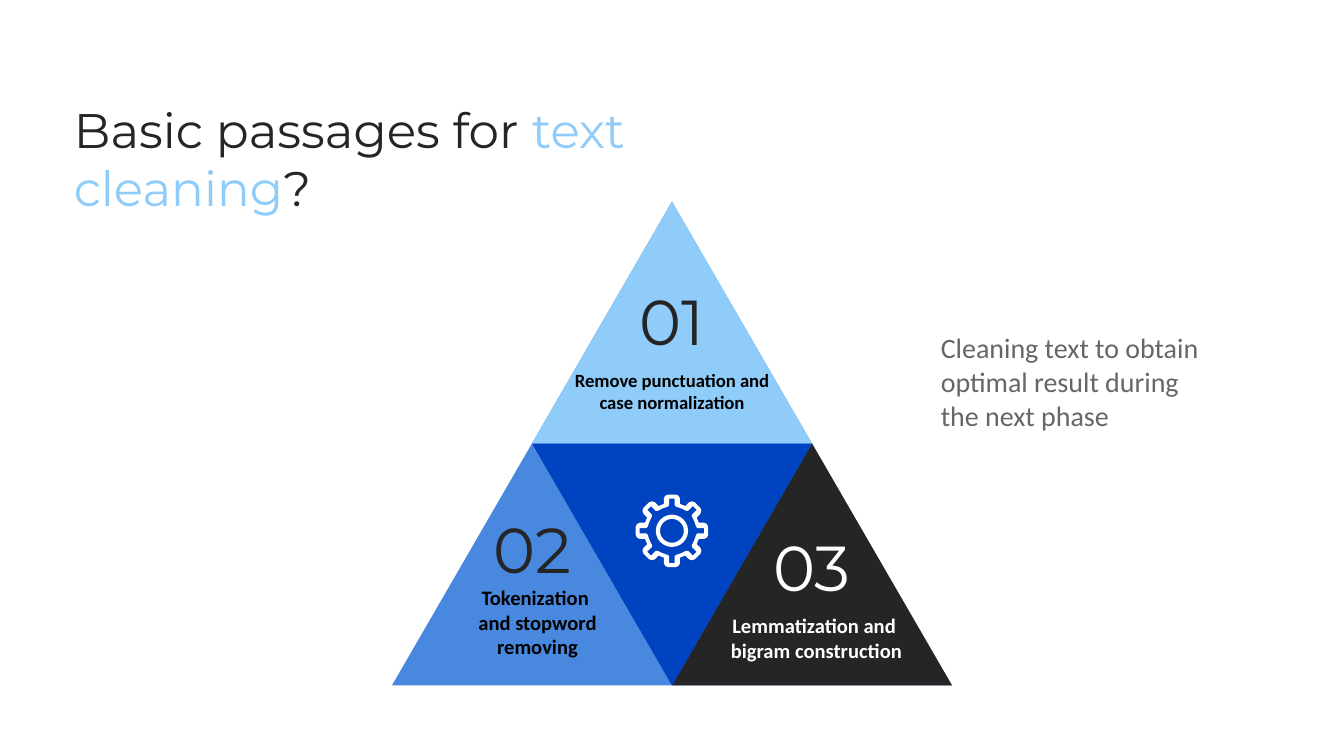
"""Build the text-cleaning pyramid slide."""
import math
from dataclasses import dataclass

from lxml import etree
from pptx import Presentation
from pptx import util as u
from pptx.dml.color import RGBColor
from pptx.enum import shapes, text
from pptx.oxml.ns import qn


@dataclass(frozen=True)
class Theme:
    """Colours, fonts and type sizes."""
    ink: str = "252525"
    sky: str = "90CCFA"
    mid: str = "4888DE"
    deep: str = "0043C1"
    grey: str = "666666"
    white: str = "FFFFFF"
    black: str = "000000"
    display: str = "Montserrat"
    plain: str = "Calibri"
    title: float = 26
    number: float = 34
    body: float = 15


@dataclass(frozen=True)
class Box:
    """Left, top, width and height in percent of the slide."""
    left: float
    top: float
    width: float
    height: float


@dataclass(frozen=True)
class Tile:
    """A triangle placed by pyramid column and row."""
    column: float
    row: float
    span: int
    color: str
    turn: int = 0


@dataclass(frozen=True)
class Step:
    """A numbered step of the pyramid."""
    number: str
    number_box: Box
    number_color: str
    lines: tuple[str, ...]
    label_box: Box
    label_color: str
    label_size: float


THEME = Theme()
WIDTH = u.Inches(10)
HEIGHT = WIDTH * 9 // 16
PYRAMID = Box(29.17, 26.67, 20.83, 32)
GEAR_X, GEAR_Y = 5, 3.95
TEETH = 8
RING = 0.24
TOOTH_OUTSIDE = ((0.06, 0.2), (0.06, 0.24), (0.05, 0.26), (0.03, 0.27))
TOOTH_INSIDE = ((0.06, 0.17), (0.03, 0.18), (0.02, 0.19), (0.02, 0.24))

TILES = (
    Tile(0, 0, 2, THEME.mid),
    Tile(1, 1, 1, THEME.ink),
    Tile(0.5, 1, 1, THEME.deep, 180),
    Tile(0.5, 0, 1, THEME.sky),
)
STEPS = (
    Step("01", Box(44.85, 35.05, 10.3, 14.06), THEME.ink,
         ("Remove punctuation and case normalization",),
         Box(41.5, 46.98, 17, 9.6), THEME.black, 10),
    Step("02", Box(34.5, 65.25, 10.3, 14.06), THEME.ink,
         ("Tokenization ", "and stopword removing"),
         Box(31.85, 75.62, 16.3, 13.5), THEME.black, 11),
    Step("03", Box(55.25, 67.62, 10.3, 14.06), THEME.white,
         ("Lemmatization and ", "bigram construction"),
         Box(51.65, 79.36, 18.2, 10.14), THEME.white, 11),
)


def frame(box: Box) -> tuple[int, int, int, int]:
    """Turn slide shares into lengths."""
    return (int(WIDTH * box.left / 100), int(HEIGHT * box.top / 100),
            int(WIDTH * box.width / 100), int(HEIGHT * box.height / 100))


def paint(shape, color: str) -> None:
    """Give a shape a flat fill without line or shadow."""
    shape.shadow.inherit = False
    shape.fill.solid()
    shape.fill.fore_color.rgb = RGBColor.from_string(color)
    shape.line.fill.background()


def write(holder, lines, font: str, size: float, align, anchor,
          bold: bool = False, fit=text.MSO_AUTO_SIZE.NONE) -> None:
    """Write lines of (wording, colour) runs into a text holder."""
    body = holder.text_frame
    body.word_wrap = True
    body.auto_size = fit
    body.vertical_anchor = anchor
    body.margin_left = body.margin_right = u.Inches(0.1)
    body.margin_top = body.margin_bottom = u.Inches(0.1)
    for index, runs in enumerate(lines):
        paragraph = body.add_paragraph() if index else body.paragraphs[0]
        paragraph.alignment = align
        paragraph.space_before = u.Pt(0)
        for wording, color in runs:
            run = paragraph.add_run()
            run.text = wording
            run.font.name = font
            run.font.size = u.Pt(size)
            run.font.bold = bold
            run.font.color.rgb = RGBColor.from_string(color)


def place(holder, box: Box) -> None:
    """Move a placeholder to its box."""
    holder.left, holder.top, holder.width, holder.height = frame(box)


def draw_tile(group, tile: Tile) -> None:
    """Draw one triangle of the pyramid."""
    box = Box(PYRAMID.left + tile.column * PYRAMID.width,
              PYRAMID.top + tile.row * PYRAMID.height,
              tile.span * PYRAMID.width, tile.span * PYRAMID.height)
    triangle = group.shapes.add_shape(
        shapes.MSO_SHAPE.ISOSCELES_TRIANGLE, *frame(box))
    triangle.rotation = tile.turn
    paint(triangle, tile.color)


def gear_contour(half_tooth) -> list[tuple[int, int]]:
    """Repeat a mirrored half tooth around the gear's centre."""
    profile = [(-x, y) for x, y in half_tooth]
    profile += list(reversed(half_tooth))
    points = []
    for tooth in range(TEETH):
        turn = math.tau * tooth / TEETH
        for x, y in profile:
            across = x * math.cos(turn) + y * math.sin(turn)
            down = x * math.sin(turn) - y * math.cos(turn)
            points.append((u.Inches(GEAR_X + across), u.Inches(GEAR_Y + down)))
    return points


def draw_gear(group) -> None:
    """Draw the gear's hollow rim and its ring."""
    outside, inside = gear_contour(TOOTH_OUTSIDE), gear_contour(TOOTH_INSIDE)
    builder = group.shapes.build_freeform(*outside[0], scale=1.0)
    builder.add_line_segments(outside[1:], close=True)
    builder.move_to(*inside[0])
    builder.add_line_segments(inside[:0:-1], close=True)
    paint(builder.convert_to_shape(), THEME.white)
    ring = group.shapes.add_shape(
        shapes.MSO_SHAPE.DONUT, u.Inches(GEAR_X - RING / 2),
        u.Inches(GEAR_Y - RING / 2), u.Inches(RING), u.Inches(RING))
    ring.adjustments[0] = 0.13
    paint(ring, THEME.white)


def draw_step(slide, step: Step) -> None:
    """Draw a step's number and label."""
    center = text.PP_ALIGN.CENTER
    number = slide.shapes.add_textbox(*frame(step.number_box))
    write(number, [[(step.number, step.number_color)]], THEME.display,
          THEME.number, center, text.MSO_ANCHOR.BOTTOM)
    label = slide.shapes.add_textbox(*frame(step.label_box))
    write(label, [[(line, step.label_color)] for line in step.lines],
          THEME.plain, step.label_size, center, text.MSO_ANCHOR.TOP, True,
          text.MSO_AUTO_SIZE.SHAPE_TO_FIT_TEXT)


def main() -> None:
    """Build and save the slide."""
    deck = Presentation()
    deck.slide_width, deck.slide_height = WIDTH, HEIGHT
    slide = deck.slides.add_slide(deck.slide_layouts[1])
    left = text.PP_ALIGN.LEFT
    title, summary = slide.shapes.title, slide.placeholders[1]
    place(title, Box(4.5, 10.32, 50.8, 20.1))
    write(title, [[("Basic passages for ", THEME.ink),
                   ("text cleaning", THEME.sky), ("?", THEME.ink)]],
          THEME.display, THEME.title, left, text.MSO_ANCHOR.BOTTOM)
    place(summary, Box(69, 42, 22.2, 12.28))
    properties = summary.text_frame.paragraphs[0]._p.get_or_add_pPr()
    properties.set("marL", "0")
    properties.set("indent", "0")
    etree.SubElement(properties, qn("a:buNone"))
    write(summary, [[("Cleaning text to obtain optimal result during "
                      "the next phase", THEME.grey)]],
          THEME.plain, THEME.body, left, text.MSO_ANCHOR.TOP)
    pyramid = slide.shapes.add_group_shape()
    for tile in TILES:
        draw_tile(pyramid, tile)
    draw_gear(slide.shapes.add_group_shape())
    for step in STEPS:
        draw_step(slide, step)
    deck.save("out.pptx")


if __name__ == "__main__":
    main()
